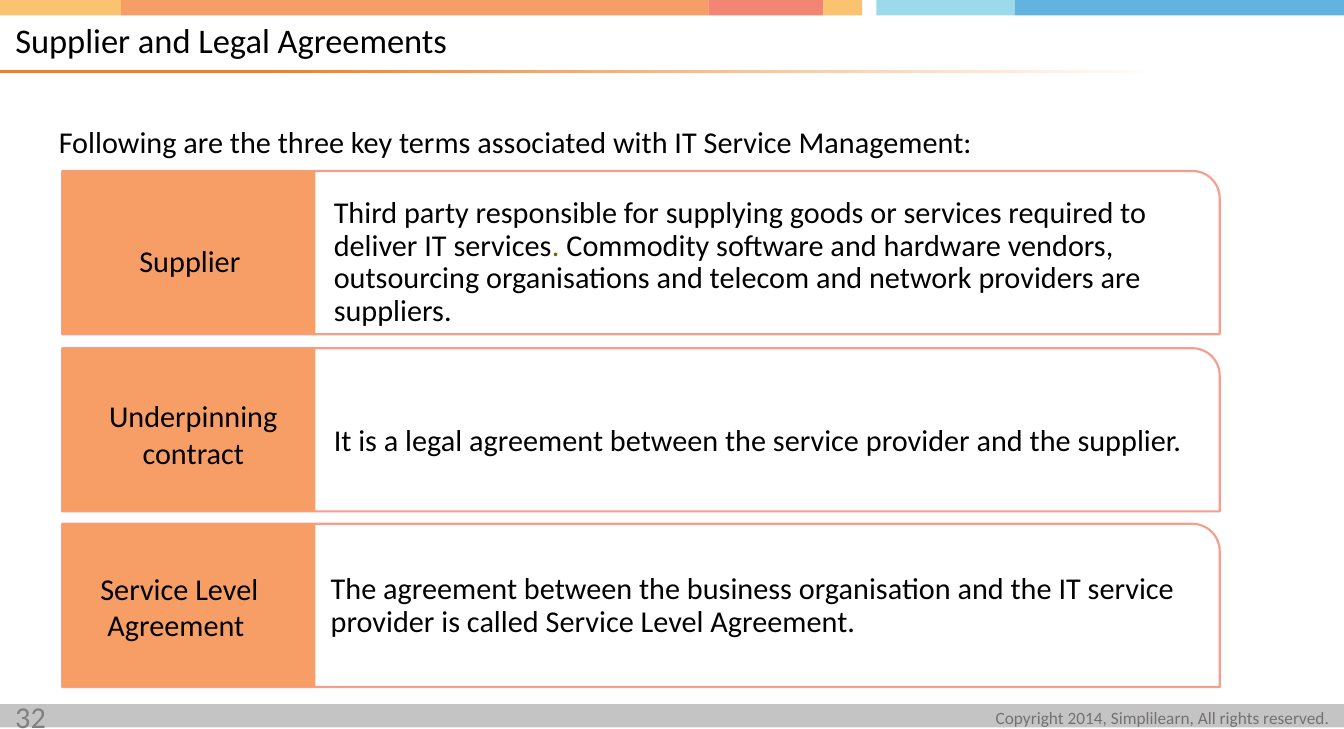
import pptx
import pptx.util
import pptx.dml.color
import pptx.enum.shapes
import pptx.enum.text

PX = 9144  # one px is a hundredth of an inch
THEME = {
    "font": "Calibri",
    "title": 16, "body": 14, "small": 8,
    "black": "000000", "white": "FFFFFF", "olive": "806000",
    "orange": "F69E66", "deep": "F28020", "gold": "FAC36F",
    "coral": "F38573", "rose": "F39E8F", "pale": "9CDAEB",
    "blue": "61B4DF", "bar": "C4C4C4", "note": "767171", "page": "808080",
}
KIND = pptx.enum.shapes.MSO_SHAPE
ALIGN = pptx.enum.text.PP_ALIGN
ANCHOR = pptx.enum.text.MSO_ANCHOR

deck = pptx.Presentation()
deck.slide_width, deck.slide_height = 865 * PX, 469 * PX
slide = deck.slides.add_slide(deck.slide_layouts[6])


def color(name):
    return pptx.dml.color.RGBColor.from_string(THEME[name])


def text(runs, box, size="body", tint="black", align=ALIGN.LEFT,
         anchor=ANCHOR.TOP, lead=1.0, inset=(10, 5, 10, 5), wrap=True):
    """Add a text box; runs is a string or a list of (words, color name)."""
    frame = slide.shapes.add_textbox(*[n * PX for n in box]).text_frame
    frame.word_wrap = wrap
    frame.vertical_anchor = anchor
    (frame.margin_left, frame.margin_top,
     frame.margin_right, frame.margin_bottom) = [n * PX for n in inset]
    para = frame.paragraphs[0]
    para.alignment, para.line_spacing = align, lead
    for words, shade in [(runs, tint)] if isinstance(runs, str) else runs:
        run = para.add_run()
        run.text = words
        run.font.name = THEME["font"]
        run.font.size = pptx.util.Pt(THEME[size])
        run.font.color.rgb = color(shade)


def block(box, fill, kind=KIND.RECTANGLE, line=None):
    """Add a filled shape, with a thin outline if line is named."""
    shape = slide.shapes.add_shape(kind, *[n * PX for n in box])
    shape.shadow.inherit = False
    shape.fill.solid()
    shape.fill.fore_color.rgb = color(fill)
    if line:
        shape.line.color.rgb = color(line)
        shape.line.width = pptx.util.Pt(1)
    else:
        shape.line.fill.background()
    return shape


# Footer
block((0, 453, 865, 15), "bar")
text("Copyright 2014, Simplilearn, All rights reserved.", (640, 450, 216, 24),
     size="small", tint="note", align=ALIGN.RIGHT, inset=(0, 5, 0, 5), wrap=False)
text("32", (0, 444, 63, 25), tint="page")

# Color band along the top
edges = [0, 78, 456, 530, 555, 564, 653, 865]
tints = ["gold", "orange", "coral", "gold", "white", "pale", "blue"]
for left, right, tint in zip(edges, edges[1:], tints):
    block((left, 0, right - left, 10), tint)

# Title and its fading rule
text("Supplier and Legal Agreements", (0, 10, 708, 34), size="title",
     anchor=ANCHOR.MIDDLE, lead=0.9, inset=(10, 0, 0, 0))
rule = block((0, 45, 747, 2), "deep")
rule.fill.gradient()
rule.fill.gradient_angle = 0
for stop, place, tint in zip(rule.fill.gradient_stops, (0.23, 1), ("deep", "white")):
    stop.position = place
    stop.color.rgb = color(tint)

# Opening line
text("Following are the three key terms associated with IT Service Management:",
     (28, 63, 741, 45), lead=1.5)

# Term cards: label, label box, meaning, meaning box, anchor
cards = [
    ("Supplier ", (43, 151, 163, 34),
     [("Third party responsible for supplying goods or services required to "
       "deliver IT services", "black"),
      (". ", "olive"),
      ("Commodity software and hardware vendors, outsourcing organisations "
       "and telecom and network providers are suppliers.", "black")],
     (205, 122, 577, 94), ANCHOR.TOP),
    ("Underpinning contract", (43, 251, 163, 57),
     "It is a legal agreement between the service provider and the supplier.",
     (205, 237, 577, 94), ANCHOR.MIDDLE),
    ("Service Level Agreement ", (34, 362, 163, 57),
     "The agreement between the business organisation and the IT service "
     "provider is called Service Level Agreement.",
     (203, 343, 579, 94), ANCHOR.MIDDLE),
]
for i, (term, spot, gloss, area, anchor) in enumerate(cards):
    top = 110 + round(113.6 * i)
    block((40, top, 745, 105), "white", KIND.ROUND_1_RECTANGLE, "rose")
    block((40, top, 163, 105), "orange")
    text(term, spot, align=ALIGN.CENTER)
    text(gloss, area, anchor=anchor, lead=0.9)

deck.save("out.pptx")
